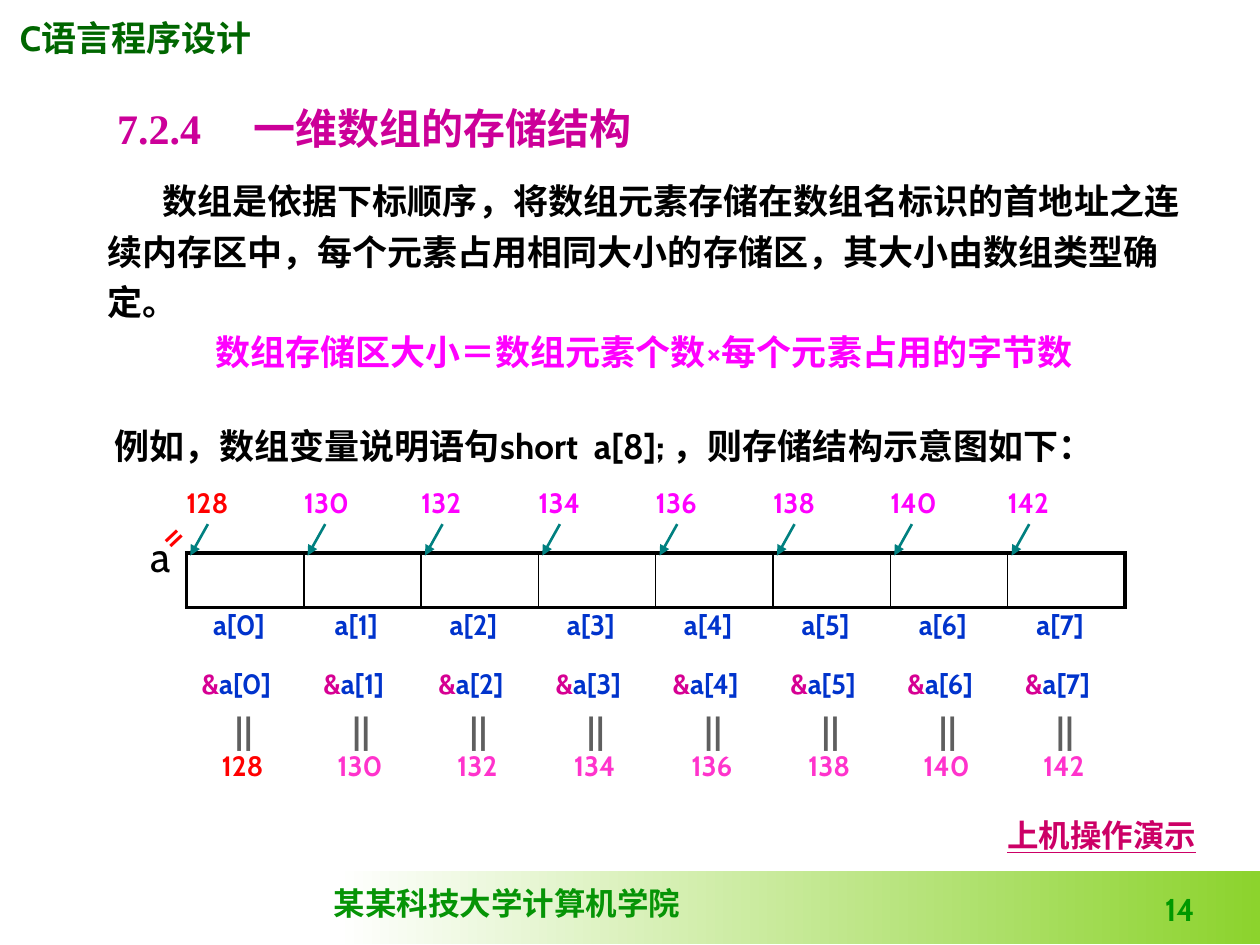
from dataclasses import dataclass
from typing import Optional

from lxml.etree import SubElement
from pptx import Presentation
from pptx.dml.color import RGBColor
from pptx.enum.shapes import MSO_CONNECTOR, MSO_SHAPE
from pptx.enum.text import MSO_ANCHOR, MSO_AUTO_SIZE, PP_ALIGN
from pptx.oxml.ns import qn
from pptx.util import Inches, Length, Pt

COLUMNS, ROWS = 100, 75
COUNT = 8
STRIP_WIDTH = 74.5
PITCH = STRIP_WIDTH / COUNT
PLAIN_TABLE = "{2D5ABB26-0587-4C30-8999-92F81FD0307C}"
SANS, SERIF = "Cabin", "Times New Roman"
LEFT, CENTER, RIGHT = PP_ALIGN.LEFT, PP_ALIGN.CENTER, PP_ALIGN.RIGHT


@dataclass(frozen=True)
class Area:
    left: float
    top: float
    width: float
    height: float

    def lengths(self) -> tuple:
        return tuple(map(grid, (self.left, self.top, self.width, self.height)))


@dataclass(frozen=True)
class Style:
    size: float
    color: str
    bold: bool = True
    font: str = SANS
    align: PP_ALIGN = LEFT
    spacing: Optional[float] = None
    underline: Optional[bool] = None


@dataclass(frozen=True)
class Caption:
    text: str
    area: Area
    style: Style
    wrap: bool = True
    anchor: MSO_ANCHOR = MSO_ANCHOR.TOP
    rotation: float = 0


@dataclass(frozen=True)
class Strip:
    left: float
    top: float
    height: float
    labels: list
    style: Style
    first_color: Optional[str] = None
    prefix: str = ""
    prefix_color: str = "D60093"


def grid(units: float) -> Length:
    return Inches(units / 10)


def paint(color_format, value: str) -> None:
    color_format.rgb = RGBColor.from_string(value)


def format_paragraph(paragraph, style: Style) -> None:
    paragraph.alignment = style.align
    paragraph.space_before = Pt(0)
    if style.spacing:
        paragraph.line_spacing = style.spacing
    font = paragraph.font
    font.name, font.size, font.bold = style.font, Pt(style.size), style.bold
    font.underline = style.underline
    paint(font.color, style.color)


def place(shape, area: Area) -> None:
    shape.left, shape.top, shape.width, shape.height = area.lengths()
    frame = shape.text_frame
    frame.auto_size = MSO_AUTO_SIZE.NONE
    frame.word_wrap = True
    frame.vertical_anchor = MSO_ANCHOR.TOP


def draw_caption(slide, caption: Caption) -> None:
    box = slide.shapes.add_textbox(*caption.area.lengths())
    box.rotation = caption.rotation
    frame = box.text_frame
    frame.word_wrap = caption.wrap
    frame.vertical_anchor = caption.anchor
    frame.text = caption.text
    format_paragraph(frame.paragraphs[0], caption.style)


def add_strip(slide, left: float, top: float, height: float) -> list:
    area = Area(left, top, STRIP_WIDTH, height)
    table = slide.shapes.add_table(1, COUNT, *area.lengths()).table
    table.first_row = table.horz_banding = False
    table._tbl.tblPr.find(qn("a:tableStyleId")).text = PLAIN_TABLE
    for column in table.columns:
        column.width = grid(PITCH)
    cells = list(table.iter_cells())
    for cell in cells:
        cell.fill.background()
    return cells


def draw_strip(slide, strip: Strip) -> None:
    cells = add_strip(slide, strip.left, strip.top, strip.height)
    for index, (cell, label) in enumerate(zip(cells, strip.labels)):
        paragraph = cell.text_frame.paragraphs[0]
        format_paragraph(paragraph, strip.style)
        if strip.prefix:
            mark = paragraph.add_run()
            mark.text = strip.prefix
            paint(mark.font.color, strip.prefix_color)
        paragraph.add_run().text = label
        if index == 0 and strip.first_color:
            paint(paragraph.font.color, strip.first_color)


def set_border(cell, side: str, width: float, color: str) -> None:
    properties = cell._tc.get_or_add_tcPr()
    line = SubElement(properties, qn(f"a:{side}"), w=str(Pt(width)))
    fill = SubElement(line, qn("a:solidFill"))
    SubElement(fill, qn("a:srgbClr"), val=color)


def draw_memory(slide, left: float, top: float, height: float) -> None:
    thick, thin = 2.25, 1
    for index, cell in enumerate(add_strip(slide, left, top, height)):
        widths = {
            "lnL": thick if index == 0 else thin,
            "lnR": thick if index == COUNT - 1 else thin,
            "lnT": thick,
            "lnB": thick,
        }
        for side, width in widths.items():
            set_border(cell, side, width, "000000")
        properties = cell._tc.tcPr
        properties.append(properties.find(qn("a:noFill")))


def draw_pointer(slide, left: float, top: float) -> None:
    ends = (left, top, left - 1.4, top + 2.5)
    arrow = slide.shapes.add_connector(MSO_CONNECTOR.STRAIGHT, *map(grid, ends))
    arrow.line.width = Pt(1.5)
    paint(arrow.line.color, "008080")
    SubElement(arrow.line._get_or_add_ln(), qn("a:tailEnd"), type="triangle")
    SubElement(arrow._element.spPr, qn("a:effectLst"))


def draw_footer_band(slide) -> None:
    area = Area(26.7, 69.1, 73.3, 5.8)
    band = slide.shapes.add_shape(MSO_SHAPE.RECTANGLE, *area.lengths())
    band.shadow.inherit = False
    band.line.fill.background()
    band.fill.gradient()
    band.fill.gradient_angle = 0
    for stop, color in zip(band.fill.gradient_stops, ("FFFFFF", "8CD32D")):
        paint(stop.color, color)


def fill_title(slide) -> None:
    heading = slide.shapes.title
    place(heading, Area(8.3, 7.6, 55.1, 5))
    heading.text_frame.text = "7.2.4 　一维数组的存储结构"
    format_paragraph(heading.text_frame.paragraphs[0], Style(24, "CC0099", font=SERIF))


def fill_body(slide) -> None:
    explanation = slide.placeholders[1]
    place(explanation, Area(7.5, 13.1, 87.2, 17))
    explanation.text_frame.text = (
        "数组是依据下标顺序，将数组元素存储在数组名标识的首地址之连续内存区中，"
        "每个元素占用相同大小的存储区，其大小由数组类型确定。\n"
        "数组存储区大小＝数组元素个数×每个元素占用的字节数"
    )
    styles = (Style(20, "000000", spacing=1.2), Style(20, "FF00FF", align=CENTER, spacing=1.2))
    for paragraph, style, indent in zip(explanation.text_frame.paragraphs, styles, (4.4, 0)):
        format_paragraph(paragraph, style)
        properties = paragraph._p.get_or_add_pPr()
        properties.set("marL", "0")
        properties.set("indent", str(grid(indent)))
        bullet = SubElement(properties, qn("a:buNone"))
        properties.find(qn("a:defRPr")).addprevious(bullet)


def main() -> None:
    deck = Presentation()
    deck.slide_width, deck.slide_height = grid(COLUMNS), grid(ROWS)
    slide = deck.slides.add_slide(deck.slide_layouts[1])

    elements = [f"a[{index}]" for index in range(COUNT)]
    addresses = [str(128 + 2 * index) for index in range(COUNT)]
    captions = [
        Caption("某某科技大学计算机学院", Area(25.5, 69.7, 29.5, 4), Style(18, "069406", font=SERIF), wrap=False),
        Caption("C语言程序设计", Area(0.6, 0.8, 20.5, 4.3), Style(20, "006600")),
        Caption("14", Area(75, 69.5, 20.8, 4.6), Style(18, "009900", align=RIGHT), anchor=MSO_ANCHOR.BOTTOM),
        Caption("例如，数组变量说明语句short  a[8]; ，则存储结构示意图如下：",
                Area(8.1, 32.5, 91.9, 5.1), Style(20, "000000", spacing=1.2)),
        Caption("a", Area(10.3, 41.6, 4.9, 5), Style(24, "000000", bold=False, align=CENTER)),
        Caption("=", Area(11.6, 39.6, 4.7, 5), Style(24, "FF0000", bold=False), rotation=316.7),
        Caption("上机操作演示", Area(77.6, 64.3, 19.7, 4), Style(18, "CC0066", align=CENTER, underline=True)),
    ]
    name_style = Style(16, "0033CC", align=CENTER)
    strips = [
        Strip(14.3, 47.8, 3.7, elements, name_style),
        Strip(13.8, 38.1, 3.7, addresses, Style(16, "FF00FF"), first_color="FF0000"),
        Strip(14.1, 52.5, 3.7, elements, name_style, prefix="&"),
        Strip(14.6, 59, 3.7, addresses, Style(16, "FF33CC", align=CENTER), first_color="FF0000"),
        Strip(14.7, 55.8, 4.3, ["‖"] * COUNT, Style(20, "5F5F5F", align=CENTER)),
    ]

    draw_footer_band(slide)
    fill_title(slide)
    fill_body(slide)
    for caption in captions:
        draw_caption(slide, caption)
    draw_memory(slide, 14.8, 43.9, 4.3)
    for strip in strips:
        draw_strip(slide, strip)
    for index in range(COUNT):
        draw_pointer(slide, 16.5 + index * PITCH, 41.6)
    deck.save("out.pptx")


if __name__ == "__main__":
    main()
